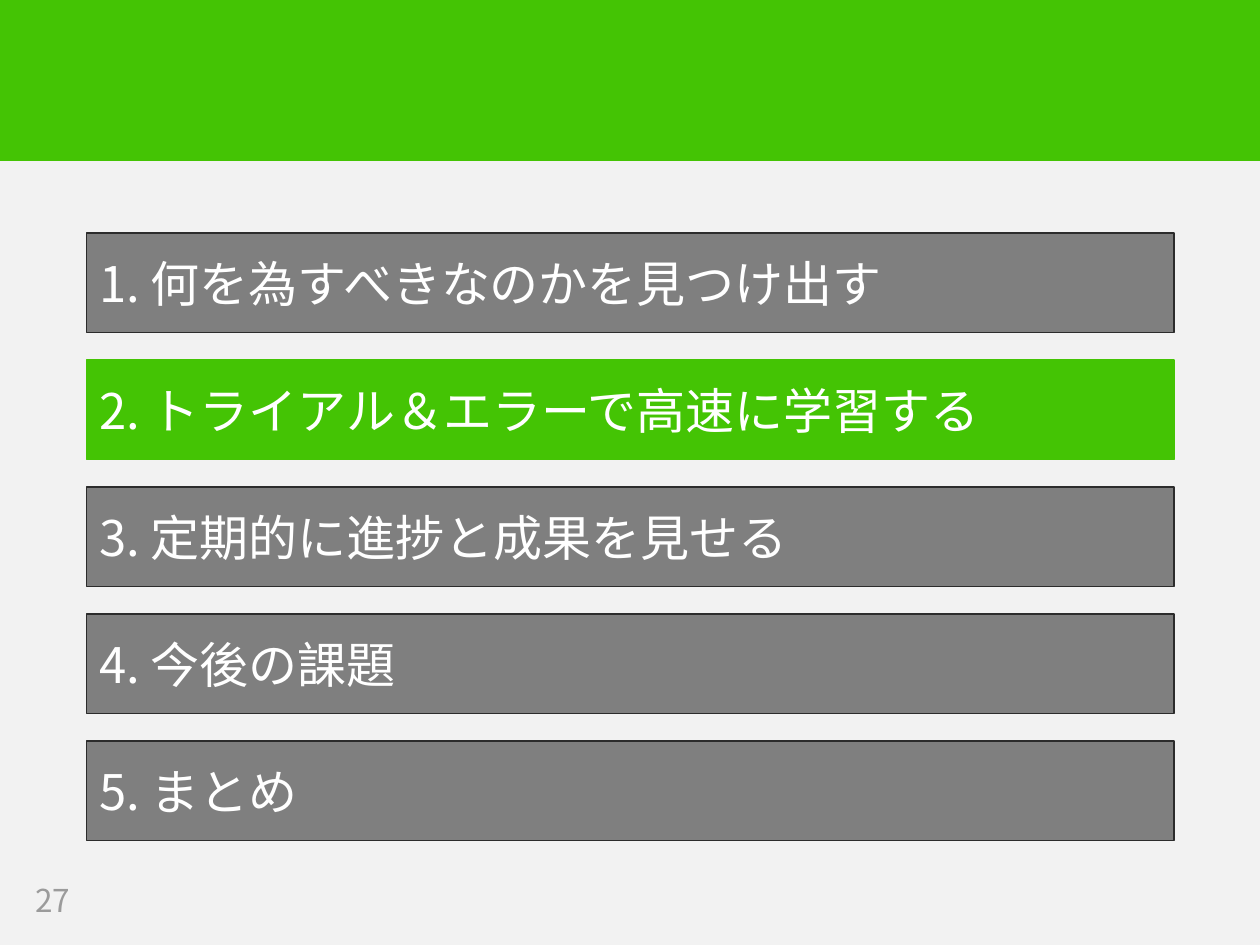
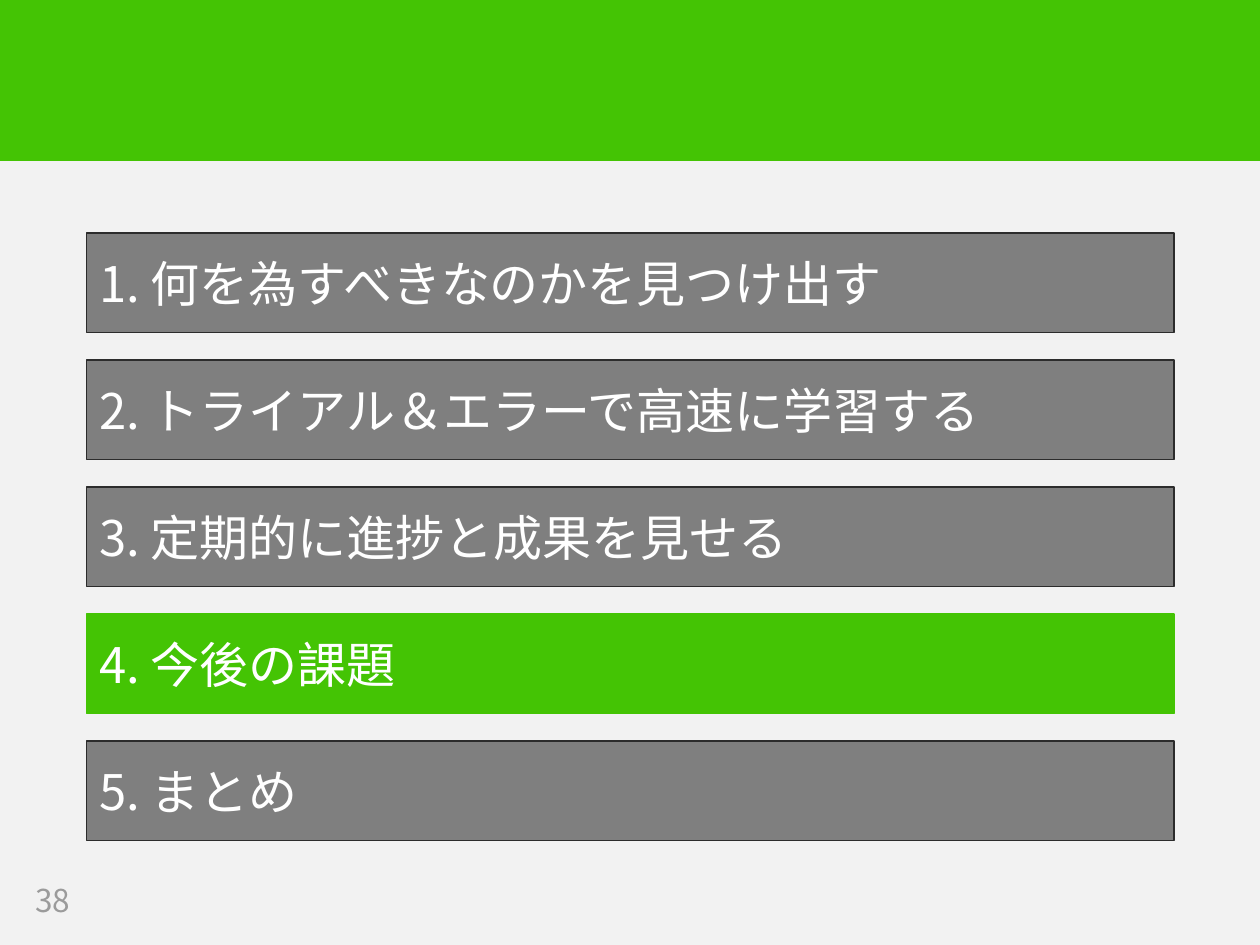
"""Build two agenda slides, each with the current chapter highlighted."""
from lxml.etree import SubElement
from pptx import Presentation
from pptx.dml.color import RGBColor
from pptx.enum.shapes import MSO_SHAPE
from pptx.enum.text import MSO_ANCHOR, PP_ALIGN
from pptx.oxml.ns import qn
from pptx.util import Cm, Pt

FONT = "Noto Sans CJK JP"
GREEN, GRAY, DARK = "44C404", "7F7F7F", "2C2C2C"
WHITE, PALE, NUMBER = "FFFFFF", "F2F2F2", "9B9B9B"

CHAPTERS = [
    "1. 何を為すべきなのかを見つけ出す",
    "2. トライアル＆エラーで高速に学習する",
    "3. 定期的に進捗と成果を見せる",
    "4. 今後の課題",
    "5. まとめ",
]
AGENDAS = [(27, 2), (38, 4)]
TOP, PITCH = 4.7, 2.56


def paint(sp, fill, line, width):
    sp.shadow.inherit = False
    sp.fill.solid()
    sp.fill.fore_color.rgb = RGBColor.from_string(fill)
    sp.line.color.rgb = RGBColor.from_string(line)
    sp.line.width = Pt(width)


def write(sp, text, size, color):
    tf = sp.text_frame
    tf.text = text
    tf.word_wrap = True
    tf.vertical_anchor = MSO_ANCHOR.MIDDLE
    p = tf.paragraphs[0]
    p.alignment = PP_ALIGN.LEFT
    r = p.runs[0]
    r.font.size = Pt(size)
    r.font.name = FONT
    r.font.color.rgb = RGBColor.from_string(color)
    SubElement(r.font._element, qn("a:ea"), typeface=FONT)


prs = Presentation()
prs.slide_width, prs.slide_height = Cm(25.4), Cm(19.05)
layout = prs.slide_layouts[6]
background = prs.slide_master.background.fill
background.solid()
background.fore_color.rgb = RGBColor.from_string(PALE)

slides = [prs.slides.add_slide(layout) for _ in AGENDAS]

band = slides[0].shapes.add_shape(
    MSO_SHAPE.RECTANGLE, Cm(0), Cm(-0.03), prs.slide_width, Cm(3.25))
paint(band, GREEN, GREEN, 1)
layout.shapes._spTree.append(band._element)

for s, (page, current) in zip(slides, AGENDAS):
    number = s.shapes.add_textbox(Cm(0.46), Cm(17.65), Cm(2), Cm(1))
    write(number, str(page), 18, NUMBER)

    for i, chapter in enumerate(CHAPTERS):
        bar = s.shapes.add_shape(
            MSO_SHAPE.RECTANGLE, Cm(1.75), Cm(TOP + i * PITCH), Cm(21.92), Cm(2))
        if i + 1 == current:
            paint(bar, GREEN, GREEN, 0.75)
        else:
            paint(bar, GRAY, DARK, 0.75)
        write(bar, chapter, 28, WHITE)

prs.save("out.pptx")
